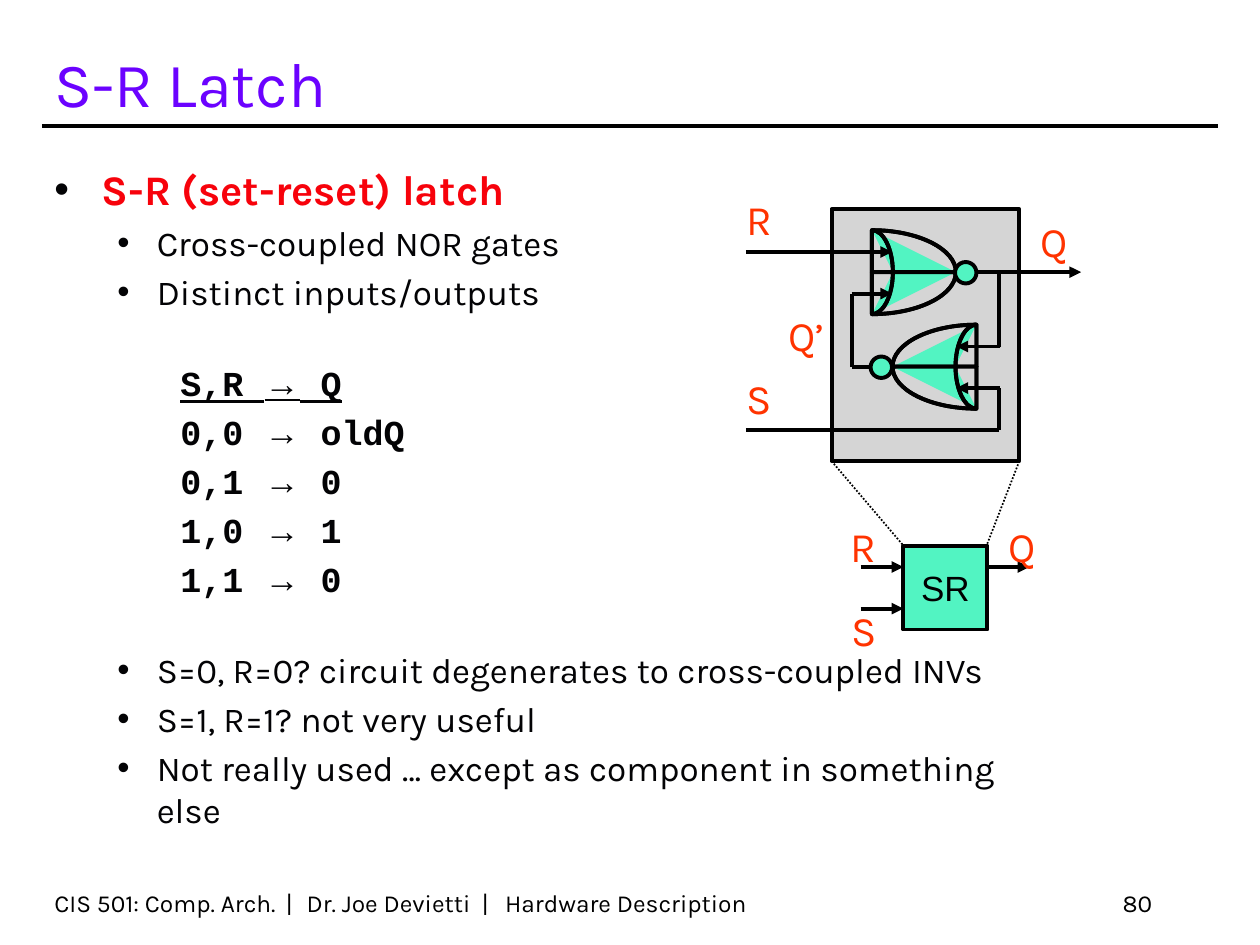
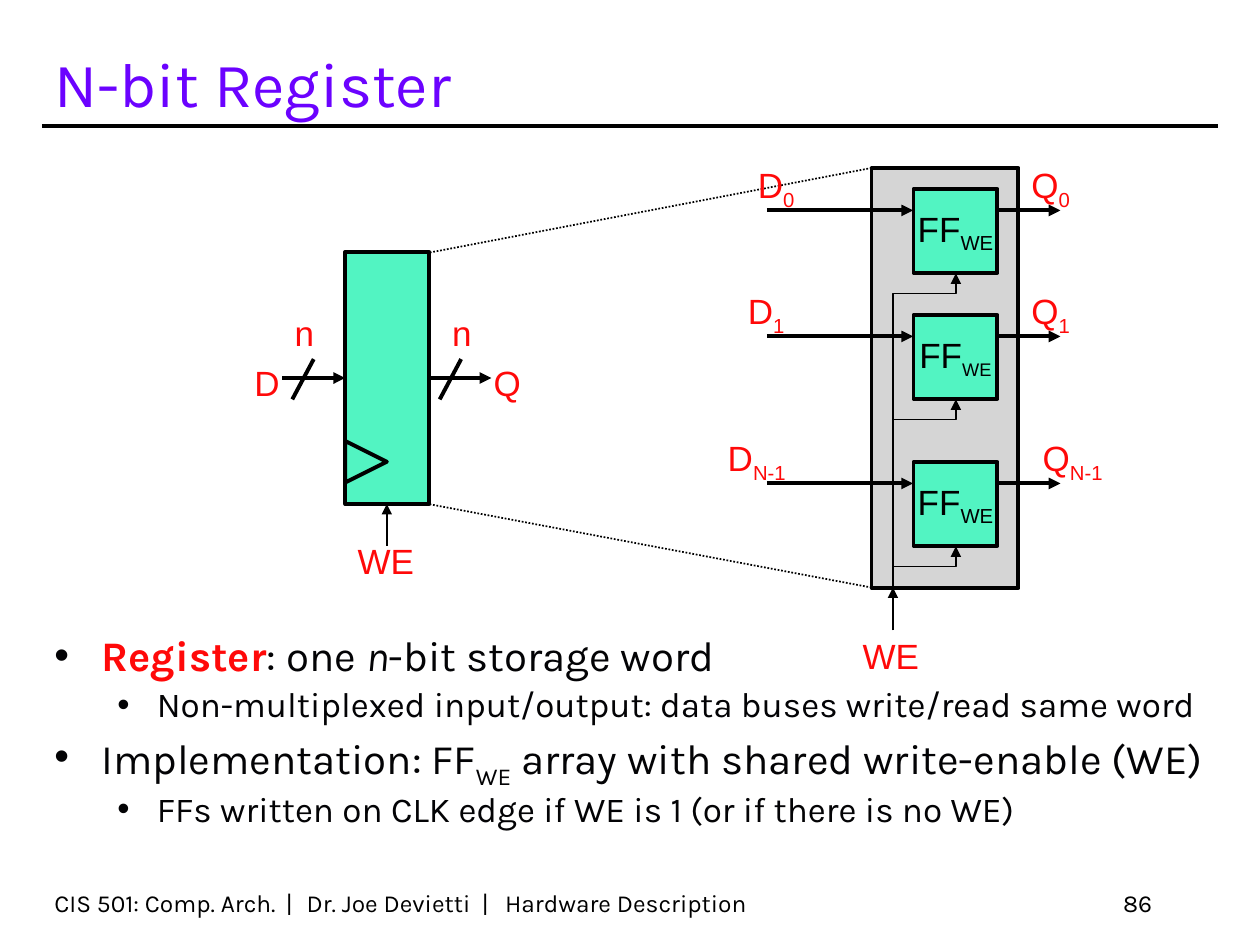
from lxml import etree
from pptx import Presentation, util as u
from pptx.dml.color import RGBColor
from pptx.enum import dml, shapes, text
from pptx.oxml.ns import qn

HUES = {"ink": "000000", "body": "030305", "title": "6B02FF", "set": "F7020B",
        "red": "FF0909", "pin": "FF3300", "mint": "52F4C2", "grey": "D5D5D5"}
SANS, ARIAL, MONO = "Karla", "Arial", "Courier New"
THICK, THIN = 2.25, 1
EDGE = 1 / 3  # left margin
CELL = 2 / 3  # side of a small block
KIND = shapes.MSO_SHAPE


def hue(name):
    return RGBColor.from_string(HUES[name])


def style(font, name=None, size=None, color=None, bold=None, italic=None, under=None):
    if name:
        font.name = name
    if size:
        font.size = u.Pt(size)
    if color:
        font.color.rgb = hue(color)
    font.bold, font.italic, font.underline = bold, italic, under


def write(par, parts, **look):
    """Fill a paragraph from a string or a list of (words, run look) pairs."""
    style(par.font, **look)
    if isinstance(parts, str):
        parts = [(parts, {})]
    for words, own in parts:
        own = dict(own)
        run = par.add_run()
        run.text = words
        props = run._r.get_or_add_rPr()
        if own.pop("sub", False):
            props.set("baseline", "-25000")
        if "gap" in own:
            props.set("spc", str(int(own.pop("gap") * 100)))
        if own:
            style(run.font, **own)


def sub(base, low, **own):
    return [(base, {}), (low, {"sub": True, **own})]


def ends(line, width, arrow):
    line.color.rgb = hue("ink")
    line.width = u.Pt(width)
    if arrow:
        etree.SubElement(line._get_or_add_ln(), qn("a:tailEnd"), type="triangle")


def curve(step, start, end):
    """Turn a straight step of an outline into a quarter ellipse."""
    (sx, sy), (ex, ey) = start, end
    bend = etree.Element(qn("a:cubicBezTo"))
    for x, y in ((sx + 0.55 * (ex - sx), sy), (ex, sy + 0.45 * (ey - sy)), end):
        etree.SubElement(bend, qn("a:pt"), x=str(int(x)), y=str(int(y)))
    step.getparent().replace(step, bend)


class Area:
    """A region of a slide; every length is in inches from its corner."""

    def __init__(self, slide, x, y):
        self.all, self.x, self.y = slide.shapes, x, y

    def at(self, x, y):
        return u.Inches(self.x + x), u.Inches(self.y + y)

    def text(self, x, y, w, h, wrap=True, low=False):
        frame = self.all.add_textbox(*self.at(x, y), u.Inches(w), u.Inches(h)).text_frame
        frame.word_wrap = wrap
        if low:
            frame.vertical_anchor = text.MSO_ANCHOR.BOTTOM
        return frame

    def label(self, x, y, w, h, parts, **look):
        write(self.text(x, y, w, h, False).paragraphs[0], parts, **look)

    def shape(self, x, y, w, h, fill, kind=KIND.RECTANGLE, parts=None):
        part = self.all.add_shape(kind, *self.at(x, y), u.Inches(w), u.Inches(h))
        part.shadow.inherit = False
        part.fill.solid()
        part.fill.fore_color.rgb = hue(fill)
        ends(part.line, THICK, False)
        if parts:
            frame = part.text_frame
            frame.word_wrap = False
            frame.vertical_anchor = text.MSO_ANCHOR.MIDDLE
            par = frame.paragraphs[0]
            par.alignment = text.PP_ALIGN.CENTER
            write(par, parts, name=ARIAL, size=20, color="ink")
        return part

    def line(self, x1, y1, x2, y2, width=THICK, arrow=False, dots=False):
        wire = self.all.add_connector(shapes.MSO_CONNECTOR.STRAIGHT,
                                      *self.at(x1, y1), *self.at(x2, y2))
        ends(wire.line, width, arrow)
        if dots:
            wire.line.dash_style = dml.MSO_LINE.ROUND_DOT
        etree.SubElement(wire._element.spPr, qn("a:effectLst"))

    def arrow(self, x1, y1, x2, y2, width=THICK):
        self.line(x1, y1, x2, y2, width, True)

    def bent(self, points):
        """An open thin wire with an arrow at its end."""
        spots = [self.at(*p) for p in points]
        pen = self.all.build_freeform(*spots[0])
        pen.add_line_segments(spots[1:], close=False)
        wire = pen.convert_to_shape()
        wire.shadow.inherit = False
        wire.fill.background()
        ends(wire.line, THIN, True)

    def arc(self, x, y, w, h, fill):
        """A quarter ellipse, drawn twice so that only its inner wedge is filled."""
        top, tip, back = self.at(x, y + h), self.at(x + w, y), self.at(x, y)
        pen = self.all.build_freeform(*top)
        pen.add_line_segments([tip], close=False)
        pen.move_to(*top)
        pen.add_line_segments([tip, back], close=True)
        part = pen.convert_to_shape()
        left, high = min(top[0], tip[0]), min(top[1], tip[1])
        start, end = [(px - left, py - high) for px, py in (top, tip)]
        for step in list(part._element.iter(qn("a:lnTo")))[:2]:
            curve(step, start, end)
        part.shadow.inherit = False
        part.fill.solid()
        part.fill.fore_color.rgb = hue(fill)
        ends(part.line, THICK, False)

    def gate(self, x, y, way):
        """A NOR gate; way is 1 facing right, -1 facing left."""
        for w, fill in ((CELL, "mint"), (CELL / 4, "grey")):
            for h in (-EDGE, EDGE):
                self.arc(x, y, way * w, h, fill)
        self.shape(x + way * 0.75 - 0.09, y - 0.08, 0.17, 0.17, "mint",
                   KIND.FLOWCHART_CONNECTOR)


def frame(deck, title, number):
    """Title, rule and footer that each slide has."""
    slide = deck.slides.add_slide(deck.slide_layouts[6])
    page = Area(slide, EDGE, 0)
    page.line(0, 1, 9.33, 1)
    write(page.text(0, 0.25, 8.83, 0.75, low=True).paragraphs[0], title,
          name=SANS, size=36, color="title")
    small = {"name": SANS, "size": 14, "color": "ink"}
    write(page.text(0, 7, 6.25, 0.33, low=True).paragraphs[0],
          [("CIS 501: Comp. Arch.", {}), (" | ", {"gap": 2.3}),
           ("Dr. Joe Devietti", {}), (" | ", {"gap": 3}),
           ("Hardware Description", {})], **small)
    par = page.text(6.83, 7, 2.08, 0.33, low=True).paragraphs[0]
    par.alignment = text.PP_ALIGN.RIGHT
    write(par, str(number), **small)
    return slide


def body(area, w, h, rows, spacing=None):
    """Rows are (level, parts, space before); level 2 is a row of code."""
    box = area.text(0, 0, w, h)
    for i, (level, parts, gap) in enumerate(rows):
        par = box.add_paragraph() if i else box.paragraphs[0]
        left, hang = ((3 / 8, 3 / 8), (13 / 16, 5 / 16), (5 / 4, 1 / 4))[level]
        props = par._p.get_or_add_pPr()
        props.set("marL", str(u.Inches(left)))
        props.set("indent", str(-u.Inches(hang)))
        if i:
            par.space_before = u.Pt(gap)
        if spacing:
            par.line_spacing = spacing
        if level < 2:
            tint = etree.SubElement(props, qn("a:buClr"))
            etree.SubElement(tint, qn("a:srgbClr"), val=HUES["body"])
            etree.SubElement(props, qn("a:buFont"), typeface=ARIAL)
            etree.SubElement(props, qn("a:buChar"), char="•")
        write(par, parts, name=MONO if level == 2 else SANS, size=20 if level else 24,
              color="body", bold=True if level == 2 else None,
              under=True if level == 2 and parts[0][0] == "S,R " else None)


def latch(area):
    """Cross-coupled gates, from the corner of the grey box."""
    area.shape(0, 0, 1.49, 2, "grey")
    area.gate(0.32, 0.5, 1)
    area.gate(1.15, 1.25, -1)
    # Inputs and output
    area.arrow(-0.68, 0.34, 0.48, 0.34)
    area.arrow(1.15, 0.5, 1.98, 0.5)
    area.line(-0.68, 1.75, 1.33, 1.75)
    area.line(1.33, 1.75, 1.33, 1.42)
    area.arrow(1.34, 1.42, 0.99, 1.42)
    # Feedback
    area.line(1.33, 0.5, 1.33, 1.09)
    area.arrow(1.34, 1.09, 0.99, 1.09)
    area.line(0.32, 1.25, 0.16, 1.25)
    area.line(0.16, 1.25, 0.16, 0.67)
    area.arrow(0.16, 0.67, 0.48, 0.67)
    pins(area, [("Q", 1.56, 0), ("R", -0.77, -0.17), ("S", -0.77, 1.25), ("Q’", -0.44, 0.75)])


def pins(area, names):
    wide = {"Q": 0.46, "R": 0.43, "S": 0.41, "Q’": 0.56}
    for name, x, y in names:
        area.label(x, y, wide[name], 0.5, name, name=SANS, size=24, color="pin")


def symbol(area):
    """The SR block and the dotted lines up to the latch."""
    area.shape(0, 0, CELL, CELL, "mint", parts="SR")
    for x, y in ((-0.34, 0.17), (-0.34, 0.5), (0.66, 0.17)):
        area.arrow(x, y, x + 0.34, y)
    pins(area, [("R", -0.52, -0.25), ("S", -0.51, 0.42), ("Q", 0.74, -0.25)])
    area.line(0.92, -0.67, 0.66, 0, THIN, dots=True)
    area.line(-0.57, -0.67, 0, 0, THIN, dots=True)


def tag(area, x, y, w, parts, h=0.43):
    area.label(x, y, w, h, parts, name=ARIAL, size=20, color="red")


def word(area):
    """The register block, from its corner."""
    area.shape(0, 0, CELL, 2, "mint")
    area.shape(0, 1.5, 0.33, 0.33, "mint", KIND.ISOSCELES_TRIANGLE).rotation = 90
    for x, slash, n in ((-0.5, -0.42, -0.5), (0.66, 0.75, 0.75)):
        area.arrow(x, 1, x + 0.5, 1)
        area.line(slash + 0.17, 0.85, slash, 1.17)
        tag(area, n, 0.42, 0.35, "n")
    area.arrow(0.33, 2.33, 0.33, 2, THIN)
    tag(area, -0.82, 0.82, 0.4, "D")
    tag(area, 1.08, 0.82, 0.41, "Q")
    tag(area, 0, 2.23, 0.65, "WE")


def array(area):
    """The flip-flops, from the corner of the grey box."""
    area.line(0, 0, -3.5, 0.67, THIN, dots=True)
    area.line(0, 3.33, -3.5, 2.67, THIN, dots=True)
    area.shape(0, 0, 7 / 6, 10 / 3, "grey")
    cells = [("0", 1 / 6, -1, 1.17, 0.54, 20), ("1", 7 / 6, -1.08, 1.17, 0.54, 18),
             ("N-1", 7 / 3, -1.24, 1.26, 0.72, 20)]
    for low, y, left, right, w, size in cells:
        area.shape(1 / 3, y, CELL, CELL, "mint", parts=sub("FF", "WE", size=size))
        area.arrow(-0.83, y + 0.17, 0.33, y + 0.17)
        area.arrow(1, y + 0.17, 1.5, y + 0.17)
        tag(area, left, y - 0.25, w, sub("D", low), 0.48)
        tag(area, right, y - 0.25, w, sub("Q", low), 0.48)
        # Write enable
        trunk = [(0.17, 3.33)] if low == "0" else []
        area.bent(trunk + [(0.17, y + 0.83), (0.67, y + 0.83), (0.67, y + 0.67)])
    area.arrow(0.17, 3.67, 0.17, 3.33, THIN)
    tag(area, -0.17, 3.65, 0.65, "WE")


def main():
    deck = Presentation()
    deck.slide_width, deck.slide_height = u.Inches(10), u.Inches(7.5)

    # Latch
    slide = frame(deck, "S-R Latch", 80)
    table = [("S,R", "Q"), ("0,0", "oldQ"), ("0,1", "0"), ("1,0", "1"), ("1,1", "0")]
    code = [(2, [(a + " ", {}), ("→", {"name": ARIAL}), (" " + b, {})], 4 if i else 28)
            for i, (a, b) in enumerate(table)]
    body(Area(slide, EDGE, 1.25), 8.17, 5.75, [
        (0, [("S-R (set-reset) latch", {"color": "set", "bold": True})], 0),
        (1, "Cross-coupled NOR gates", 4),
        (1, "Distinct inputs/outputs", 4), *code,
        (1, "S=0, R=0? circuit degenerates to cross-coupled INVs", 28),
        (1, "S=1, R=1? not very useful", 4),
        (1, "Not really used … except as component in something else", 4)])
    latch(Area(slide, 6.6, 1.66))
    symbol(Area(slide, 7.17, 4.33))

    # Register
    slide = frame(deck, "N-bit Register", 86)
    body(Area(slide, EDGE, 4.99), 9.33, 2.1, [
        (0, [("Register", {"color": "red", "bold": True}), (": one ", {}),
             ("n", {"italic": True}), ("-bit storage word", {})], 0),
        (1, "Non-multiplexed input/output: data buses write/read same word", 4),
        (0, sub("Implementation: FF", "WE")
         + [(" array with shared write-enable (WE)", {})], 4.8),
        (1, "FFs written on CLK edge if WE is 1 (or if there is no WE)", 4)], 0.9)
    word(Area(slide, 2.74, 2))
    array(Area(slide, 83 / 12, 4 / 3))
    deck.save("out.pptx")


if __name__ == "__main__":
    main()
